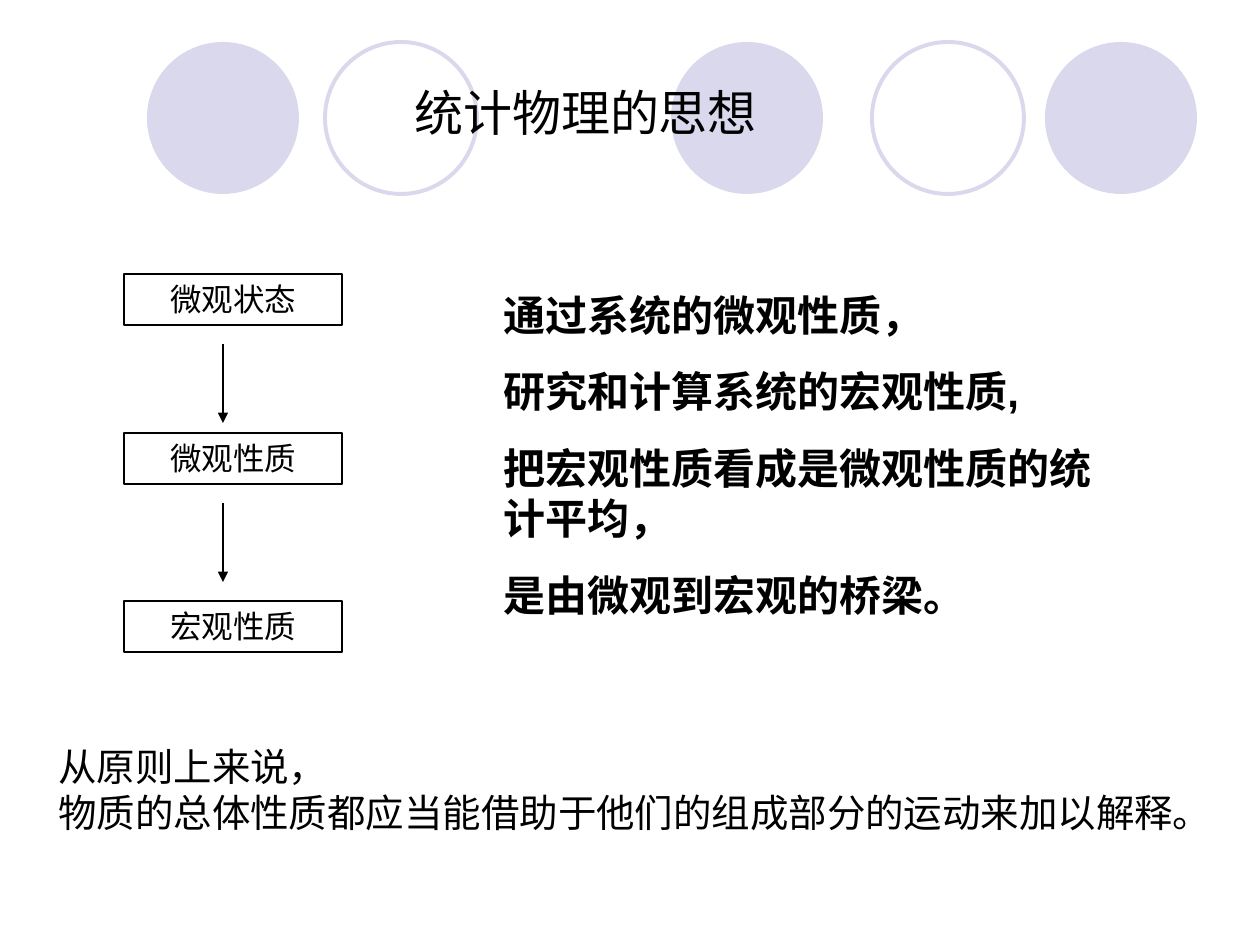
from lxml import etree
from pptx import Presentation
from pptx.dml.color import RGBColor
from pptx.enum.shapes import MSO_CONNECTOR as CONNECTOR, MSO_SHAPE as SHAPE
from pptx.enum.text import MSO_ANCHOR as ANCHOR, MSO_AUTO_SIZE as AUTO_SIZE, PP_ALIGN as ALIGN
from pptx.oxml.ns import qn
from pptx.util import Pt

PIXEL = 914400 / 126
COLORS = {"circle": "D9D8EC", "ink": "000000"}
FONT = "Arial"


def px(length):
    """Turn pixels into EMU."""
    return round(length * PIXEL)


def color(name):
    """Look up a named colour."""
    return RGBColor.from_string(COLORS[name])


def set_text(shape, text, size, bold=False, before=0, align=ALIGN.LEFT, wrap=True):
    """Write and format the paragraphs of a shape."""
    frame = shape.text_frame
    frame.text = text
    frame.word_wrap = wrap
    frame.auto_size = AUTO_SIZE.SHAPE_TO_FIT_TEXT
    frame.vertical_anchor = ANCHOR.TOP
    for paragraph in frame.paragraphs:
        paragraph.alignment = align
        paragraph.space_before = Pt(before)
        for span in paragraph.runs:
            span.font.name = FONT
            span.font.size = Pt(size)
            span.font.bold = bold
            span.font.color.rgb = color("ink")


def add_text(page, left, top, width, height, text, size, **style):
    """Add a text box."""
    box = page.shapes.add_textbox(px(left), px(top), px(width), px(height))
    set_text(box, text, size, **style)


def add_circle(page, left, top, filled):
    """Add a decorative circle, either filled or outlined."""
    circle = page.shapes.add_shape(SHAPE.OVAL, px(left), px(top), px(152), px(152))
    circle.shadow.inherit = False
    if filled:
        circle.fill.solid()
        circle.fill.fore_color.rgb = color("circle")
        circle.line.fill.background()
    else:
        circle.fill.background()
        circle.line.color.rgb = color("circle")
        circle.line.width = Pt(2.24)


def add_step(page, left, top, text):
    """Add a framed step of the flow."""
    step = page.shapes.add_shape(SHAPE.RECTANGLE, px(left), px(top), px(218), px(51))
    step.shadow.inherit = False
    step.fill.background()
    step.line.color.rgb = color("ink")
    step.line.width = Pt(0.74)
    set_text(step, text, 18, before=11.2, align=ALIGN.CENTER)


def add_arrow(page, x, top, length):
    """Add a downward arrow."""
    arrow = page.shapes.add_connector(
        CONNECTOR.STRAIGHT, px(x), px(top), px(x), px(top + length))
    arrow.line.color.rgb = color("ink")
    arrow.line.width = Pt(0.74)
    etree.SubElement(arrow.line._get_or_add_ln(), qn("a:tailEnd"), type="triangle")
    etree.SubElement(arrow._element.spPr, qn("a:effectLst"))


def main():
    """Build the slide."""
    deck = Presentation()
    deck.slide_width, deck.slide_height = px(1260), px(945)
    page = deck.slides.add_slide(deck.slide_layouts[6])

    for left, filled in ((147, True), (325, False), (671, True), (872, False), (1045, True)):
        add_circle(page, left, 42, filled)

    add_text(page, 402, 76, 476, 72, "统计物理的思想", 28)
    add_text(page, 491, 283, 645, 344,
             "通过系统的微观性质，\n研究和计算系统的宏观性质,\n"
             "把宏观性质看成是微观性质的统计平均，\n是由微观到宏观的桥梁。",
             24, bold=True, before=15)

    for top, text in ((274, "微观状态"), (433, "微观性质"), (601, "宏观性质")):
        add_step(page, 124, top, text)
    for top in (344, 503):
        add_arrow(page, 223, top, 79)

    add_text(page, 46, 737, 1178, 106,
             "从原则上来说，\n物质的总体性质都应当能借助于他们的组成部分的运动来加以解释。",
             22, wrap=False)
    deck.save("out.pptx")


main()
